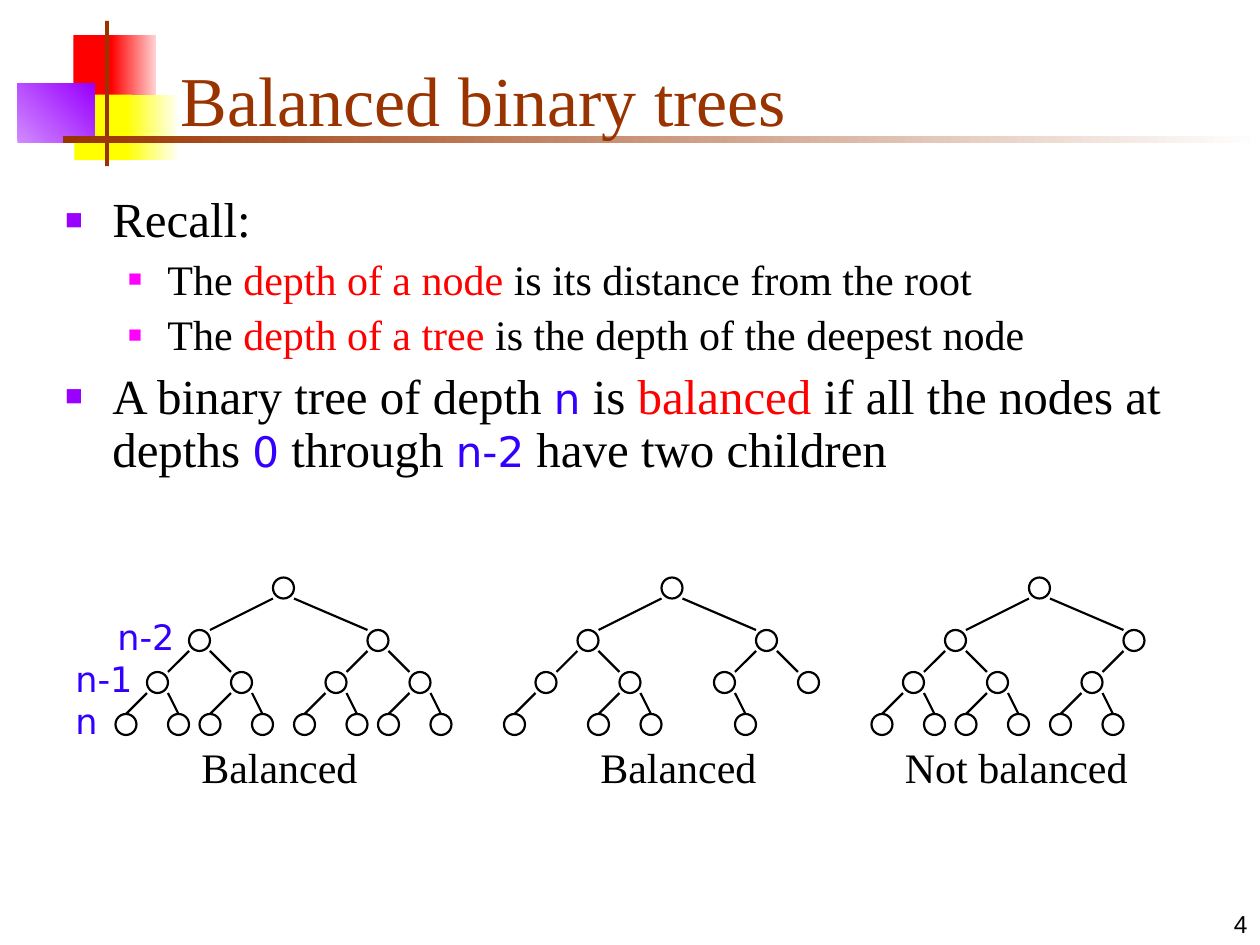
"""Build the slide on balanced binary trees."""
import pptx
import pptx.dml.color
import pptx.enum.shapes
import pptx.enum.text
import pptx.oxml
import pptx.oxml.ns
import pptx.util

Pt = pptx.util.Pt
SHAPES = pptx.enum.shapes.MSO_SHAPE
ANCHOR = pptx.enum.text.MSO_ANCHOR
ALIGN = pptx.enum.text.PP_ALIGN
NODE = 12
LEVEL_TOPS = [330, 360, 384, 408]
CHILD_STEPS = [{"L": -48, "R": 54}, {"L": -24, "R": 24}, {"L": -18, "R": 12}]

SERIF = {"name": "Times New Roman", "color": "000000"}
HEADING = {**SERIF, "size": 40, "color": "993300"}
CAPTION = {**SERIF, "size": 24}
POINT = {**SERIF, "size": 28}
SUBPOINT = {**SERIF, "size": 24}
MATH = {"name": "DejaVu Sans", "size": 24, "color": "3300FF"}
DEPTH = {**MATH, "size": 20}
NUMBER = {"name": "Arial", "size": 14, "color": "000000"}
RED = {"color": "FF0000"}

BULLETS = [
    {"left": 27, "hang": 27, "color": "9900FF", "percent": 60, "before": 7},
    {"left": 58.5, "hang": 22.5, "color": "FF00FF", "percent": 55, "before": 6},
]
POINTS = [
    (0, [("Recall:", POINT)]),
    (1, [("The ", SUBPOINT), ("depth of a node", {**SUBPOINT, **RED}),
         (" is its distance from the root", SUBPOINT)]),
    (1, [("The ", SUBPOINT), ("depth of a tree", {**SUBPOINT, **RED}),
         (" is the depth of the deepest node", SUBPOINT)]),
    (0, [("A binary tree of depth ", POINT), ("n", MATH), (" is ", POINT),
         ("balanced", {**POINT, **RED}), (" if all the nodes at depths ", POINT),
         ("0", MATH), (" through ", POINT), ("n-2", MATH),
         (" have two children", POINT)]),
]
DECORATIONS = [
    ((42, 20, 25, 37.5), ["FF0000"], 0),
    ((63.5, 20, 25.5, 37.5), ["FF0000", "FFD1D1"], 0),
    ((42.5, 54, 33, 37.5), ["FFFF00"], 0),
    ((72, 54, 29, 37.5), ["FFFF00", "FFFFF0"], 0),
    ((10, 48, 44, 33.5), ["D18BFF", "9900FF"], 45),
    ((60, 12, 2.25, 83), ["993300"], 0),
    ((36, 78, 684, 3.75), ["993300", "FFFFFF"], 0),
]
TREES = [
    (156, "LLL LLR LRL LRR RLL RLR RRL RRR", "Balanced", (108, 420, 108, 36)),
    (378, "LLL LRL LRR RLR RR", "Balanced", (336, 420, 114, 36)),
    (588, "LLL LLR LRL LRR RLL RLR", "Not balanced", (510, 420, 150, 36)),
]
DEPTH_LABELS = [("n-2", 60, 348), ("n-1", 36, 372), ("n", 36, 396)]


def rgb(value):
    """Turn a hex string into a colour."""
    return pptx.dml.color.RGBColor.from_string(value)


def points(values):
    """Turn numbers into lengths in points."""
    return [Pt(value) for value in values]


def apply_format(target, values):
    """Set each attribute named in a dict of format values."""
    for name, value in values.items():
        setattr(target, name, value)


def add_span(para, text, style):
    """Add one styled run of text."""
    span = para.add_run()
    span.text = text
    apply_format(span.font, {"name": style["name"], "size": Pt(style["size"])})
    span.font.color.rgb = rgb(style["color"])


def add_label(shapes, text, place, style, anchor=ANCHOR.TOP, align=ALIGN.LEFT):
    """Add a text box with one line of text."""
    box = shapes.add_textbox(*points(place))
    apply_format(box.text_frame, {"word_wrap": True, "vertical_anchor": anchor})
    para = box.text_frame.paragraphs[0]
    para.alignment = align
    add_span(para, text, style)


def add_decoration(shapes, place, colors, angle):
    """Add a borderless rectangle with a plain or gradient fill."""
    box = shapes.add_shape(SHAPES.RECTANGLE, *points(place))
    box.shadow.inherit = False
    box.line.fill.background()
    if len(colors) == 1:
        box.fill.solid()
        box.fill.fore_color.rgb = rgb(colors[0])
        return
    box.fill.gradient()
    box.fill.gradient_angle = angle
    for position, (stop, color) in enumerate(zip(box.fill.gradient_stops, colors)):
        stop.position = position
        stop.color.rgb = rgb(color)


def place_placeholder(holder, place, anchor):
    """Move a placeholder to the front and set its frame."""
    apply_format(holder, dict(zip(("left", "top", "width", "height"), points(place))))
    apply_format(holder.text_frame, {
        "vertical_anchor": anchor, "word_wrap": True,
        "auto_size": pptx.enum.text.MSO_AUTO_SIZE.NONE})
    holder.element.getparent().append(holder.element)


def add_bullet(para, bullet):
    """Give a paragraph a coloured square bullet and a hanging indent."""
    properties = para._p.get_or_add_pPr()
    properties.set("marL", str(Pt(bullet["left"])))
    properties.set("indent", str(-Pt(bullet["hang"])))
    namespace = pptx.oxml.ns.nsdecls("a")
    for xml in (
        f'<a:buClr {namespace}><a:srgbClr val="{bullet["color"]}"/></a:buClr>',
        f'<a:buSzPct {namespace} val="{bullet["percent"] * 1000}"/>',
        f'<a:buFont {namespace} typeface="Arial"/>',
        f'<a:buChar {namespace} char="■"/>',
    ):
        properties.append(pptx.oxml.parse_xml(xml))


def fill_body(frame):
    """Write the bulleted list."""
    for index, (level, spans) in enumerate(POINTS):
        para = frame.add_paragraph() if index else frame.paragraphs[0]
        bullet = BULLETS[level]
        add_bullet(para, bullet)
        apply_format(para, {
            "level": level, "line_spacing": 0.9, "alignment": ALIGN.LEFT,
            "space_before": Pt(bullet["before"] if index else 0)})
        for text, style in spans:
            add_span(para, text, style)


def format_line(line):
    """Make a line thin and black."""
    line.color.rgb = rgb("000000")
    line.width = Pt(1.25)


def add_node(shapes, left, top):
    """Add one hollow tree node."""
    node = shapes.add_shape(SHAPES.OVAL, *points((left, top, NODE, NODE)))
    node.shadow.inherit = False
    node.fill.background()
    format_line(node.line)


def add_edge(shapes, start, end):
    """Add one straight edge without a shadow."""
    edge = shapes.add_connector(
        pptx.enum.shapes.MSO_CONNECTOR.STRAIGHT, *points(start + end))
    format_line(edge.line)
    edge.element.spPr.append(pptx.oxml.parse_xml(
        f'<a:effectLst {pptx.oxml.ns.nsdecls("a")}/>'))


def add_branch(shapes, left, route, routes):
    """Add a node, then its children and the edges to them."""
    depth = len(route)
    top = LEVEL_TOPS[depth]
    add_node(shapes, left, top)
    for side in "LR":
        child = route + side
        if child not in routes:
            continue
        child_left = left + CHILD_STEPS[depth][side]
        corner = left if side == "L" else left + NODE
        facing = NODE if side == "L" else 0
        meeting = NODE / 2 if depth == 2 else facing
        add_edge(shapes, (child_left + meeting, LEVEL_TOPS[depth + 1]),
                 (corner, top + NODE))
        add_branch(shapes, child_left, child, routes)


def main():
    """Build and save the deck."""
    deck = pptx.Presentation()
    apply_format(deck, {"slide_width": Pt(720), "slide_height": Pt(540)})
    page = deck.slides.add_slide(deck.slide_layouts[1])
    for decoration in DECORATIONS:
        add_decoration(page.shapes, *decoration)
    add_label(page.shapes, "4", (570, 504, 150, 36), NUMBER, ANCHOR.BOTTOM, ALIGN.RIGHT)

    title, body = page.shapes.title, page.placeholders[1]
    place_placeholder(title, (96, 18, 613.5, 66), ANCHOR.BOTTOM)
    heading = title.text_frame.paragraphs[0]
    heading.alignment = ALIGN.LEFT
    add_span(heading, "Balanced binary trees", HEADING)
    place_placeholder(body, (30, 108, 675, 181.5), ANCHOR.TOP)
    fill_body(body.text_frame)

    for root_left, leaves, caption, place in TREES:
        tree = page.shapes.add_group_shape()
        add_label(tree.shapes, caption, place, CAPTION)
        routes = {leaf[:end] for leaf in leaves.split() for end in range(1, 4)}
        add_branch(tree.shapes, root_left, "", routes)
    depths = page.shapes.add_group_shape()
    for text, left, top in DEPTH_LABELS:
        add_label(depths.shapes, text, (left, top, 54, 31.5), DEPTH)
    deck.save("out.pptx")


if __name__ == "__main__":
    main()
